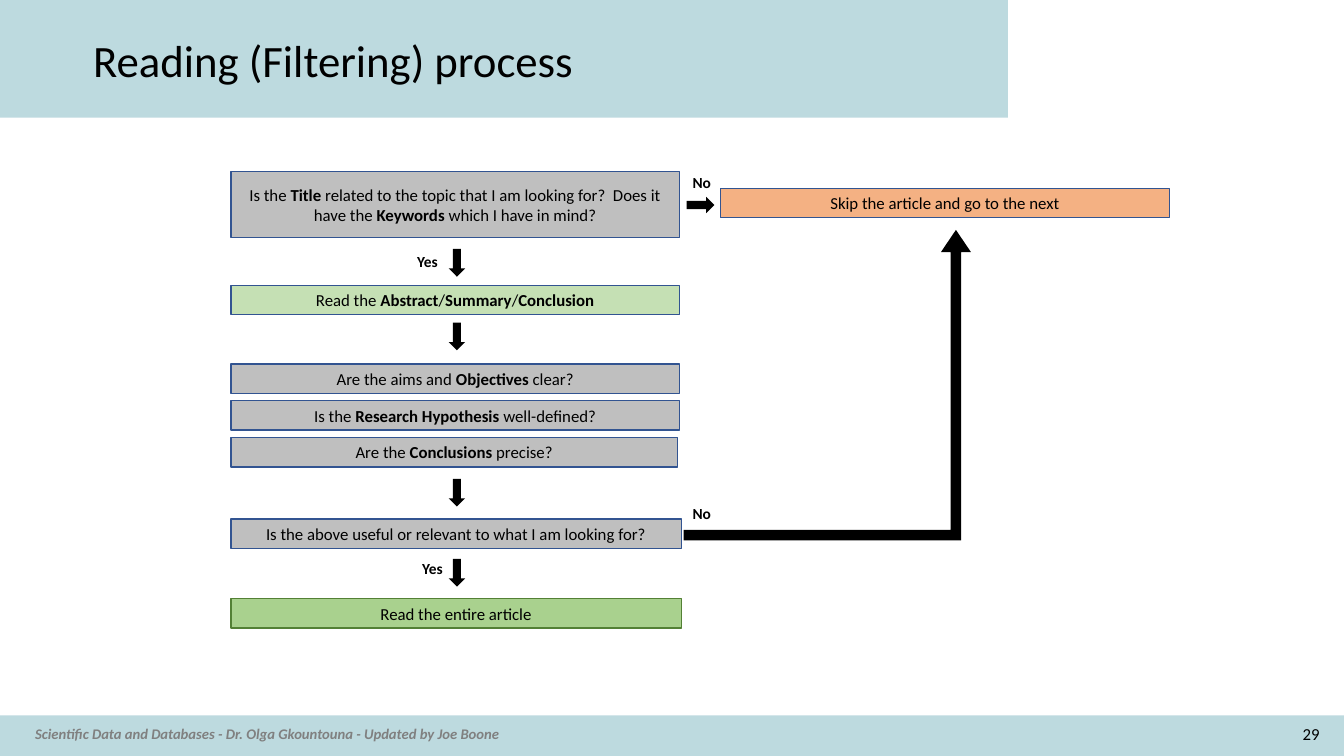
from dataclasses import dataclass

from pptx import Presentation
from pptx.dml.color import RGBColor
from pptx.enum.shapes import MSO_SHAPE
from pptx.enum.text import MSO_ANCHOR, PP_ALIGN
from pptx.util import Pt


@dataclass(frozen=True)
class Theme:
    font: str = "Calibri"
    band: str = "BDDADF"
    ink: str = "000000"
    muted: str = "808080"
    question: str = "BFBFBF"
    read: str = "C5E0B4"
    accept: str = "A9D18E"
    skip: str = "F4B183"
    edge: str = "325491"
    accept_edge: str = "538035"
    title_size: float = 32
    box_size: float = 12
    label_size: float = 11
    footer_size: float = 10.5


THEME = Theme()
ROW_H = 21
ARROW_W, ARROW_H = 11.7, 19.8


def rgb(value):
    return RGBColor.from_string(value)


def write(shape, text, size, color=THEME.ink, bold=False, italic=False,
          align=PP_ALIGN.LEFT, anchor=MSO_ANCHOR.MIDDLE):
    """Add text run by run; asterisks switch bold on and off."""
    tf = shape.text_frame
    tf.word_wrap = True
    tf.vertical_anchor = anchor
    p = tf.paragraphs[0]
    p.alignment = align
    for i, part in enumerate(text.split("*")):
        if part:
            r = p.add_run()
            r.text = part
            r.font.name = THEME.font
            r.font.size = Pt(size)
            r.font.color.rgb = rgb(color)
            r.font.bold = bold or i % 2 == 1
            r.font.italic = italic
    return tf


def add_text(s, x, y, w, h, text, size, **style):
    """Text box without insets."""
    sp = s.shapes.add_textbox(Pt(x), Pt(y), Pt(w), Pt(h))
    tf = write(sp, text, size, **style)
    tf.margin_left = tf.margin_right = tf.margin_top = tf.margin_bottom = 0
    return tf


def add_solid(s, kind, x, y, w, h, fill, edge=None):
    sp = s.shapes.add_shape(kind, Pt(x), Pt(y), Pt(w), Pt(h))
    sp.shadow.inherit = False
    sp.fill.solid()
    sp.fill.fore_color.rgb = rgb(fill)
    if edge:
        sp.line.color.rgb = rgb(edge)
        sp.line.width = Pt(1)
    else:
        sp.line.fill.background()
    return sp


def add_box(s, x, y, w, h, text, fill, edge=THEME.edge):
    sp = add_solid(s, MSO_SHAPE.RECTANGLE, x, y, w, h, fill, edge)
    write(sp, text, THEME.box_size, align=PP_ALIGN.CENTER)


def add_header(s, x, y, w, h):
    add_solid(s, MSO_SHAPE.RECTANGLE, x, y, w, h, THEME.band)
    tf = add_text(s, x + 66.5, y + 22.3, 596, 39.6,
                  "Reading (Filtering) process", THEME.title_size)
    tf.margin_top = Pt(0.7)
    tf.paragraphs[0].space_before = Pt(1)


def add_footer(s, x, y, w, h):
    add_solid(s, MSO_SHAPE.RECTANGLE, x, y, w, h, THEME.band)
    add_text(s, x + 25, y + 7, 445, 13,
             "Scientific Data and Databases - Dr. Olga Gkountouna - Updated by Joe Boone",
             THEME.footer_size, color=THEME.muted, bold=True, italic=True,
             anchor=MSO_ANCHOR.TOP)
    add_text(s, x + w - 57, y + 3.8, 39.6, 19.4, "29", THEME.box_size,
             align=PP_ALIGN.RIGHT)


def add_flowchart(s, x, y, w, h):
    col_w = w * 0.478
    skip_x = x + w - col_w

    # Main column: top, height, extra width, text, fill, edge
    steps = [
        (0, 47.5, 0, "Is the *Title* related to the topic that I am looking for?  "
         "Does it have the *Keywords* which I have in mind?", THEME.question, THEME.edge),
        (81.4, ROW_H, 0, "Read the *Abstract*/*Summary*/*Conclusion*",
         THEME.read, THEME.edge),
        (137.5, ROW_H, 0, "Are the aims and *Objectives* clear?",
         THEME.question, THEME.edge),
        (163.8, ROW_H, 0, "Is the *Research Hypothesis *well-defined?",
         THEME.question, THEME.edge),
        (190.1, ROW_H, -1.4, "Are the *Conclusions* precise?",
         THEME.question, THEME.edge),
        (248.4, ROW_H, 1.4, "Is the above useful or relevant to what I am looking for?",
         THEME.question, THEME.edge),
        (h - ROW_H, ROW_H, 1.4, "Read the entire article",
         THEME.accept, THEME.accept_edge),
    ]
    for top, height, extra, text, fill, edge in steps:
        add_box(s, x, y + top, col_w + extra, height, text, fill, edge)

    # Rejection box
    add_box(s, skip_x, y + 12.2, col_w, ROW_H,
            "Skip the article and go to the next", THEME.skip)

    # Arrows between steps, and the one towards rejection
    for top in (55.4, 108, 219.6, 276.8):
        add_solid(s, MSO_SHAPE.DOWN_ARROW, x + 155.6, y + top,
                  ARROW_W, ARROW_H, THEME.ink)
    sp = add_solid(s, MSO_SHAPE.DOWN_ARROW, x + 329.6, y + 14.1,
                   ARROW_W, ARROW_H, THEME.ink)
    sp.rotation = 270

    # Long bent arrow from the last question up to rejection
    bent = add_solid(s, MSO_SHAPE.BENT_UP_ARROW, x + 323.4, y + 41.8,
                     205.2, 221.8, THEME.ink)
    for i, value in enumerate((0.037, 0.052, 0.077)):
        bent.adjustments[i] = value

    # Answer labels
    for left, top, text in ((133, 57.5, "Yes"), (136.6, 276.5, "Yes"),
                            (329.8, 0.7, "No"), (329.8, 237.6, "No")):
        add_text(s, x + left, y + top, 24, 14, text, THEME.label_size, bold=True)


def main():
    prs = Presentation()
    prs.slide_width, prs.slide_height = Pt(960), Pt(540)
    s = prs.slides.add_slide(prs.slide_layouts[6])
    add_footer(s, 0, 511, 960, 29)
    add_header(s, 0, 0, 720, 84)
    add_flowchart(s, 164.9, 122.4, 670.3, 326.2)
    prs.save("out.pptx")


if __name__ == "__main__":
    main()
